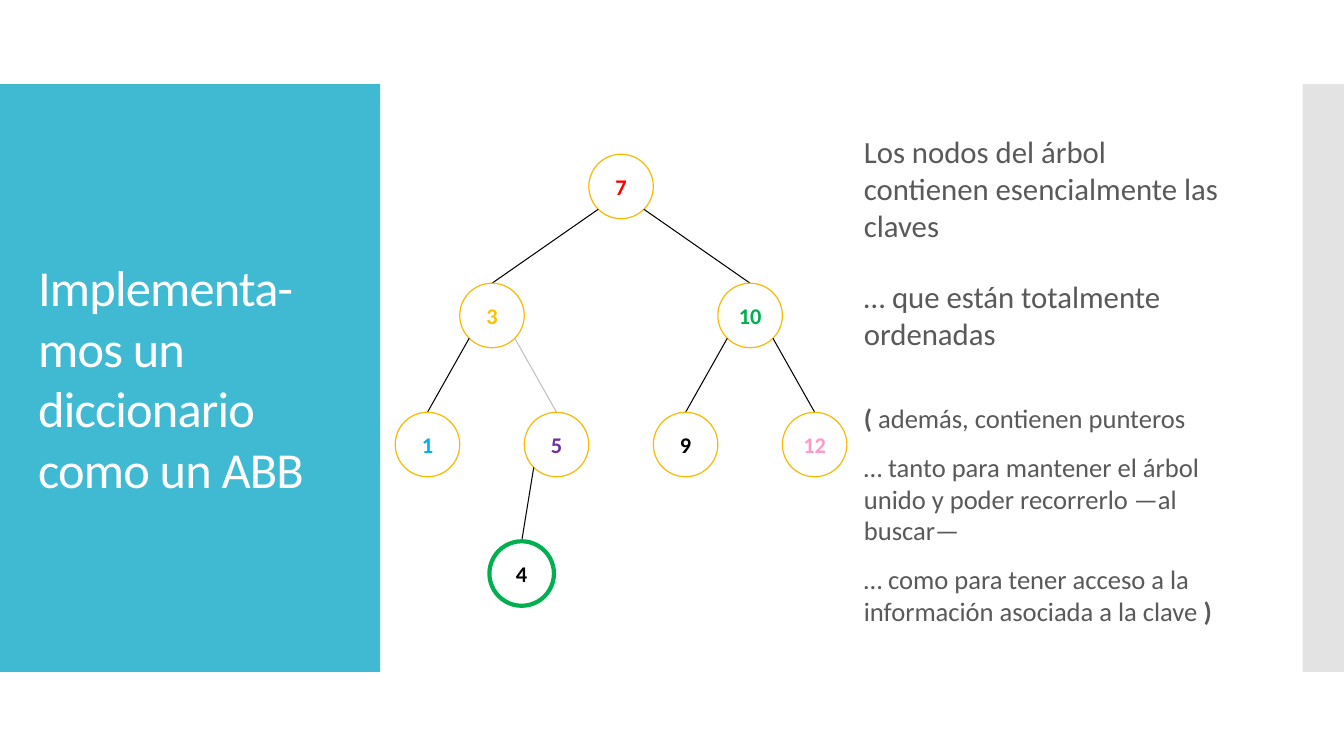
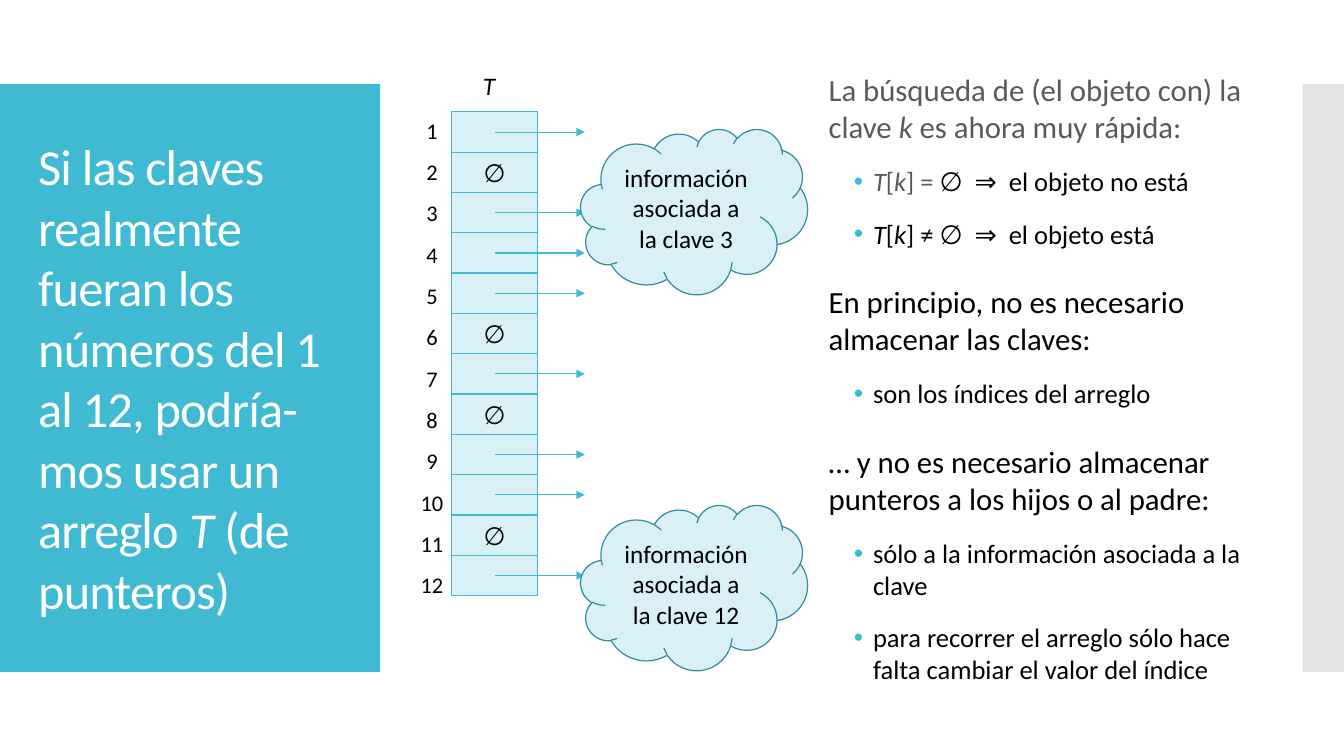
"""Two slides: a dictionary as a binary search tree and as an array."""
from pptx import Presentation
from pptx import util as u
from pptx.dml.color import RGBColor
from pptx.enum import shapes, text
from pptx.oxml.ns import qn
from lxml import etree

W, H = 13.33, 7.5
FONT = "Calibri"
COLORS = {
    "white": "FFFFFF", "black": "000000", "body": "595959",
    "accent": "40BAD2", "side": "C8C8C8", "pale": "D9F1F6",
    "cloud": "2F8A9B", "ring": "FAB900", "faint": "BFBFBF",
    "red": "FF0000", "green": "00B050", "amber": "FFC000",
    "blue": "00B0F0", "purple": "7030A0", "pink": "FF99CC",
}
BAND_TOP, BAND_HEIGHT = H / 9, H * 7 / 9
BIG, SMALL = 22, 19


def rgb(name):
    """Look up a palette colour."""
    return RGBColor.from_string(COLORS[name])


def add_xml(parent, tag, **attributes):
    """Append an element in the drawing namespace."""
    child = etree.SubElement(parent, qn(tag))
    for key, value in attributes.items():
        child.set(key, str(value))
    return child


def bullet(paragraph):
    """Give a paragraph a hanging accent bullet."""
    props = paragraph._p.get_or_add_pPr()
    props.set("marL", str(u.Inches(0.44)))
    props.set("indent", str(u.Inches(-0.19)))
    add_xml(add_xml(props, "a:buClr"), "a:srgbClr", val=COLORS["accent"])
    add_xml(props, "a:buFont", typeface="Arial")
    add_xml(props, "a:buChar", char="•")


def write(shape, paragraphs, size=18, color="black", align="LEFT",
          anchor="MIDDLE", inset=None, wrap=True, **style):
    """Fill a shape with (runs, format) paragraphs; runs are (text, format)."""
    frame = shape.text_frame
    frame.word_wrap = wrap
    frame.vertical_anchor = getattr(text.MSO_ANCHOR, anchor)
    if inset is not None:
        frame.margin_left = frame.margin_right = u.Inches(inset)
        frame.margin_top = frame.margin_bottom = u.Inches(inset)
    for index, (runs, layout) in enumerate(paragraphs):
        paragraph = frame.add_paragraph() if index else frame.paragraphs[0]
        paragraph.alignment = getattr(text.PP_ALIGN, align)
        paragraph.space_before = u.Pt(layout.get("before", 0))
        if layout.get("bullet"):
            bullet(paragraph)
        for words, own in runs:
            look = {"size": size, "color": color, **style, **layout, **own}
            run = paragraph.add_run()
            run.text = words
            run.font.name = FONT
            run.font.size = u.Pt(look["size"])
            run.font.color.rgb = rgb(look["color"])
            run.font.bold = look.get("bold", False)
            run.font.italic = look.get("italic", False)
            if "spacing" in look:
                run._r.get_or_add_rPr().set("spc", str(look["spacing"]))


def add_text(slide, box, paragraphs, **style):
    """Add a text box."""
    area = slide.shapes.add_textbox(*map(u.Inches, box))
    write(area, paragraphs, **style)


def add_shape(slide, kind, box, fill, line=None, width=0.85):
    """Add a flat preset shape."""
    shape = slide.shapes.add_shape(getattr(shapes.MSO_SHAPE, kind),
                                   *map(u.Inches, box))
    shape.shadow.inherit = False
    shape.fill.solid()
    shape.fill.fore_color.rgb = rgb(fill)
    if line:
        shape.line.color.rgb = rgb(line)
        shape.line.width = u.Pt(width)
    else:
        shape.line.fill.background()
    return shape


def add_line(slide, start, end, color="black", arrow=False):
    """Join two points with a straight line."""
    line = slide.shapes.add_connector(shapes.MSO_CONNECTOR.STRAIGHT,
                                      *map(u.Inches, start + end))
    line.line.color.rgb = rgb(color)
    line.line.width = u.Pt(0.75)
    if arrow:
        add_xml(line.line._get_or_add_ln(), "a:tailEnd", type="triangle")
    add_xml(line._element.spPr, "a:effectLst")


def plain(words):
    """Wrap one string as a single paragraph."""
    return [([(words, {})], {})]


def new_slide(deck, title):
    """Add a slide with the side bands and its title runs."""
    slide = deck.slides.add_slide(deck.slide_layouts[6])
    add_shape(slide, "RECTANGLE", (0, BAND_TOP, 3.77, BAND_HEIGHT), "accent")
    side = add_shape(slide, "RECTANGLE",
                     (W - 0.41, BAND_TOP, 0.41, BAND_HEIGHT), "side")
    tint = side._element.spPr.find(qn("a:solidFill"))
    add_xml(tint[0], "a:alpha", val=50000)
    add_text(slide, (0.28, 1.23, 3.22, 5.03), [(title, {})],
             size=36, color="white", spacing=-60)
    return slide


def draw_tree(slide, box):
    """Draw the search tree in columns one node wide, levels two apart."""
    left, top, width, _ = box
    node = width / 7
    # key: column, level, text colour, parent
    tree = {
        7: (3, 0, "red", None),
        3: (1, 1, "amber", 7), 10: (5, 1, "green", 7),
        1: (0, 2, "blue", 3), 5: (2, 2, "purple", 3),
        9: (4, 2, "black", 10), 12: (6, 2, "pink", 10),
        4: (1.46, 3, "black", 5),
    }

    def center(key):
        column, level = tree[key][:2]
        return left + (column + 0.5) * node, top + (2 * level + 0.5) * node

    diagonal = node / 2 * 0.5 ** 0.5
    for key, (_, _, color, parent) in tree.items():
        x, y = center(key)
        if parent:
            px, py = center(parent)
            foot = px + (diagonal if x > px else -diagonal), py + diagonal
            add_line(slide, foot, (x, y - node / 2),
                     "faint" if key == 5 else "black")
        ring, weight = ("green", 3) if key == 4 else ("ring", 0.85)
        circle = add_shape(slide, "OVAL",
                           (x - node / 2, y - node / 2, node, node),
                           "white", ring, weight)
        write(circle, plain(str(key)), size=16, color=color, bold=True,
              align="CENTER", inset=0, wrap=False)


def draw_array(slide, box, empty):
    """Draw the array T: numbered cells, empty marks and pointers."""
    left, top, width, height = box
    row, label_step = height / 12, 0.41
    add_text(slide, (4.69, 0.65, 0.32, 0.4), plain("T"), italic=True,
             align="CENTER", anchor="TOP", wrap=False)
    for index in range(12):
        key, y = index + 1, top + index * row
        add_text(slide, (left - 0.41, top + index * label_step, 0.43, 0.37),
                 plain(str(key)), size=16, align="CENTER", anchor="TOP",
                 wrap=False)
        cell = add_shape(slide, "RECTANGLE", (left, y, width, row),
                         "pale", "accent")
        if key in empty:
            write(cell, plain("∅"), align="CENTER", inset=0)
        else:
            middle = y + row / 2
            add_line(slide, (left + width / 2, middle),
                     (left + width + 0.47, middle), "accent", arrow=True)


def draw_cloud(slide, box, key):
    """Draw the information that belongs to a key."""
    cloud = add_shape(slide, "CLOUD", box, "pale", "cloud")
    write(cloud, plain(f"información asociada a la clave {key}"),
          align="CENTER")


def tree_slide(deck):
    """Build the slide on the binary search tree."""
    slide = new_slide(
        deck, [("Implementa-mos un diccionario como un ABB", {})])
    lead = {"size": BIG, "before": 24}
    aside = {"size": SMALL, "before": 12}
    bold = {"bold": True}
    add_text(slide, (8.47, 0.97, 3.76, 5.6), [
        ([("Los nodos del árbol contienen esencialmente las claves", {})],
         lead),
        ([("… que están totalmente ordenadas", {})], lead),
        ([("(", bold), (" además, contienen punteros", {})],
         {**aside, "before": 36}),
        ([("… tanto para mantener el árbol unido y poder recorrerlo "
           "—al buscar—", {})], aside),
        ([("… como para tener acceso a la información asociada a la clave ",
           {}), (")", bold)], aside),
    ], color="body")
    draw_tree(slide, (3.92, 1.53, 4.48, 4.48))


def array_slide(deck):
    """Build the slide on the array of pointers."""
    italic = {"italic": True}
    slide = new_slide(deck, [
        ("Si las claves realmente fueran los números del 1 al 12, "
         "podría-mos usar un arreglo ", {}),
        ("T", italic), (" (de punteros)", {})])
    lead = {"size": BIG, "before": 24}
    point = {"size": SMALL, "before": 14.5, "bullet": True}
    black = {"color": "black"}
    add_text(slide, (8.12, 0.23, 4.45, 7.04), [
        ([("La búsqueda de (el objeto con) la clave ", {}), ("k", italic),
          (" es ahora muy rápida:", {})], {**lead, "color": "body"}),
        ([("T", italic), ("[", {}), ("k", italic), ("] = ", {}),
          ("∅  ⇒  el objeto no está", black)], {**point, "color": "body"}),
        ([("T", italic), ("[", {}), ("k", italic),
          ("] ≠ ∅  ⇒  el objeto está", {})], point),
        ([("En principio, no es necesario almacenar las claves:", {})], lead),
        ([("son los índices del arreglo", {})], point),
        ([("… y no es necesario almacenar punteros a los hijos "
           "o al padre:", {})], lead),
        ([("sólo a la información asociada a la clave", {})], point),
        ([("para recorrer el arreglo sólo hace falta cambiar "
           "el valor del índice", {})], point),
    ])
    draw_array(slide, (4.48, 1.11, 0.85, 4.8), empty={2, 6, 8, 11})
    for key, top in ((3, 1.28), (12, 5.01)):
        draw_cloud(slide, (5.76, top, 2.25, 1.64), key)


def main():
    """Build and save the deck."""
    deck = Presentation()
    deck.slide_width, deck.slide_height = u.Inches(W), u.Inches(H)
    tree_slide(deck)
    array_slide(deck)
    deck.save("out.pptx")


main()
